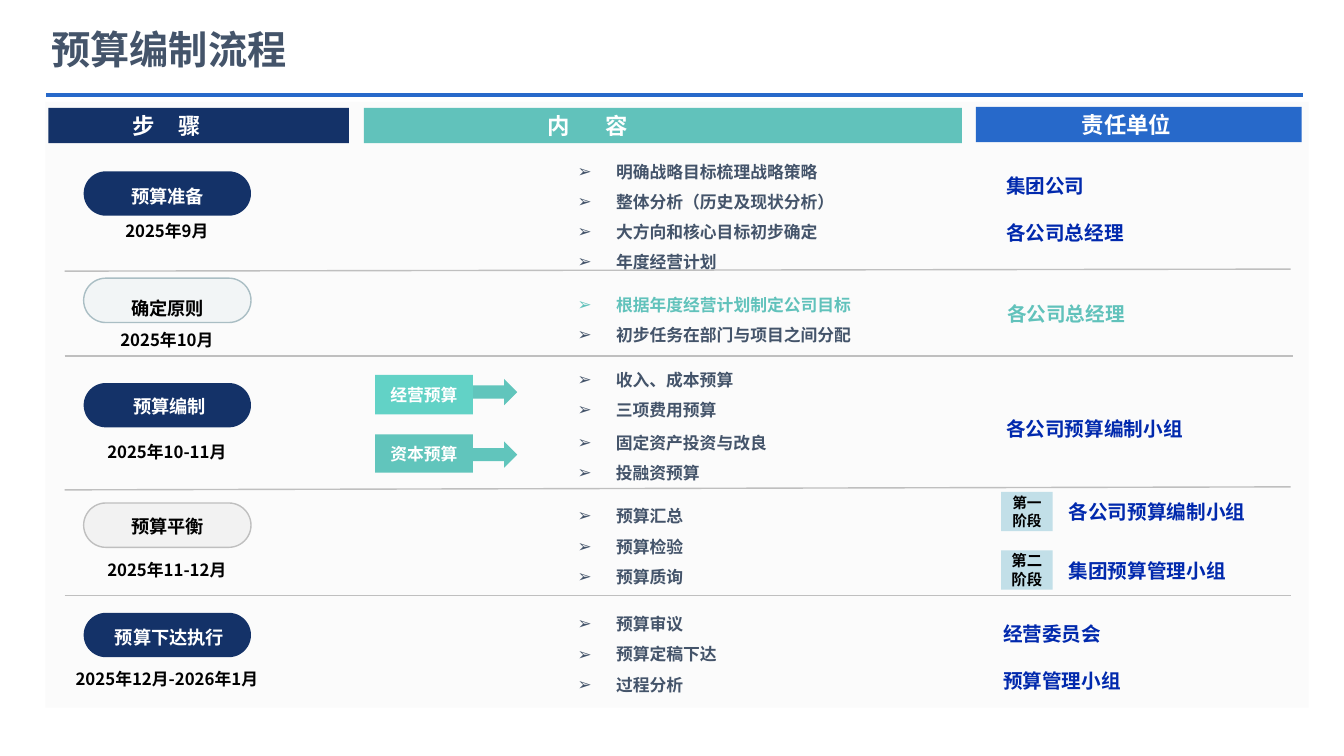
"""Build the budget preparation process slide."""
import pptx
import pptx.util
import pptx.dml.color
import pptx.enum.shapes
import pptx.enum.text
import pptx.oxml.ns
import lxml.etree

Inches, Pt = pptx.util.Inches, pptx.util.Pt
RGB = pptx.dml.color.RGBColor.from_string
SHAPE = pptx.enum.shapes.MSO_SHAPE
ALIGN = pptx.enum.text.PP_ALIGN
ANCHOR = pptx.enum.text.MSO_ANCHOR
qn = pptx.oxml.ns.qn
FONT = "Noto Sans CJK SC"
C = {"card": "FBFBFB", "slate": "44546A", "navy": "143268", "teal": "61C2BB",
     "arrow": "61C5BC", "mint": "62D2C6", "blue": "2769CA", "ink": "0129AD",
     "stage": "C2DFE8", "pale": "F2F5F6", "pale_line": "AABEC4",
     "gray": "F2F2F2", "gray_line": "BFBFBF", "white": "FFFFFF", "black": "000000"}


def write(sp, text, size=12, color="black", font=FONT, align=ALIGN.LEFT, anchor=ANCHOR.TOP,
          spacing=1.2, gap=0, margins=(0.1, 0.05, 0.1, 0.05), bullet=False, tab=0):
    tf = sp.text_frame
    tf.word_wrap = True
    tf.auto_size = pptx.enum.text.MSO_AUTO_SIZE.NONE
    tf.vertical_anchor = anchor
    tf.margin_left, tf.margin_top, tf.margin_right, tf.margin_bottom = map(Inches, margins)
    colors = [color] if isinstance(color, str) else color
    for i, line in enumerate(text.split("\n")):
        p = tf.paragraphs[0] if i == 0 else tf.add_paragraph()
        p.alignment = align
        p.line_spacing = Pt(size * spacing)
        p.space_before = Pt(gap if i else 0)
        pPr = p._p.get_or_add_pPr()
        if bullet:
            pPr.set("marL", str(Inches(0.38)))
            pPr.set("indent", str(Inches(-0.38)))
            lxml.etree.SubElement(pPr, qn("a:buFont")).set("typeface", "Arial")
            lxml.etree.SubElement(pPr, qn("a:buChar")).set("char", "➢")
        if tab:
            stops = lxml.etree.SubElement(pPr, qn("a:tabLst"))
            lxml.etree.SubElement(stops, qn("a:tab"), pos=str(Inches(tab)), algn="l")
        r = p.add_run()
        r.text = line
        r.font.size, r.font.bold, r.font.name = Pt(size), True, font
        r.font.color.rgb = RGB(C[colors[min(i, len(colors) - 1)]])
        lxml.etree.SubElement(r._r.get_or_add_rPr(), qn("a:ea")).set("typeface", FONT)


def block(kind, x, y, w, h, fill, line=None):
    sp = s.shapes.add_shape(kind, Inches(x), Inches(y), Inches(w), Inches(h))
    sp.shadow.inherit = False
    sp.fill.solid()
    sp.fill.fore_color.rgb = RGB(C[fill])
    if line:
        sp.line.color.rgb = RGB(C[line])
        sp.line.width = Pt(1)
    else:
        sp.line.fill.background()
    return sp


prs = pptx.Presentation()
prs.slide_width, prs.slide_height = Inches(13.33), Inches(7.5)
s = prs.slides.add_slide(prs.slide_layouts[4])
title, *bodies = list(s.placeholders)

card = block(SHAPE.ROUNDED_RECTANGLE, 0.45, 1.01, 12.53, 6.01, "card")
card.adjustments[0] = 0
s.shapes._spTree.insert(2, card._element)

title.left, title.top, title.width, title.height = map(Inches, (0.41, 0.2, 6.11, 0.53))
write(title, "预算编制流程", size=28, color="slate")

for x, y, w, fill, text, indent, tab in [
        (0.48, 1.07, 2.98, "navy", "步\t骤", 0.83, 0.46),
        (3.61, 1.07, 5.93, "teal", "内\t容", 1.82, 0.58),
        (9.68, 1.06, 3.23, "blue", "责任单位", 1.05, 0)]:
    sp = block(SHAPE.RECTANGLE, x, y, w, 0.35, fill)
    write(sp, text, size=16, color="white", font="Calibri", anchor=ANCHOR.MIDDLE,
          margins=(indent, 0, 0, 0), tab=tab)

for x1, y1, x2, y2, color, width in [
        (0.46, 0.94, 12.92, 0.94, "blue", 3),
        (0.64, 2.69, 12.8, 2.67, "gray_line", 1),
        (0.64, 3.53, 12.82, 3.53, "gray_line", 1),
        (0.64, 4.86, 12.8, 4.83, "gray_line", 1),
        (0.64, 5.91, 12.8, 5.91, "gray_line", 1)]:
    cn = s.shapes.add_connector(pptx.enum.shapes.MSO_CONNECTOR.STRAIGHT,
                                Inches(x1), Inches(y1), Inches(x2), Inches(y2))
    cn.line.color.rgb = RGB(C[color])
    cn.line.width = Pt(width)
    lxml.etree.SubElement(cn._element.spPr, qn("a:effectLst"))

for pill_y, fill, line, label, label_x, label_y, color, date, date_y in [
        (1.7, "navy", None, "预算准备", 1.08, 1.8, "white", "2025年9月", 2.14),
        (2.76, "pale", "pale_line", "确定原则", 1.08, 2.91, "black", "2025年10月", 3.22),
        (3.8, "navy", None, "预算编制", 1.1, 3.88, "white", "2025年10-11月", 4.33),
        (4.99, "gray", "gray_line", "预算平衡", 1.08, 5.07, "black", "2025年11-12月", 5.5),
        (6.08, "navy", None, "预算下达执行", 1.1, 6.17, "white", "2025年12月-2026年1月", 6.59)]:
    pill = block(SHAPE.ROUNDED_RECTANGLE, 0.83, pill_y, 1.66, 0.44, fill, line)
    pill.adjustments[0] = 0.5
    sp = s.shapes.add_textbox(Inches(label_x), Inches(label_y), Inches(1.16), Inches(0.29))
    write(sp, label, size=13, color=color, font="Cabin", align=ALIGN.CENTER,
          spacing=1.44, margins=(0, 0, 0, 0.04))
    sp = s.shapes.add_textbox(Inches(0.45), Inches(date_y), Inches(2.41), Inches(0.3))
    write(sp, date, align=ALIGN.CENTER)

tasks = [
    (1.45, 1.28, "slate", "明确战略目标梳理战略策略\n整体分析（历史及现状分析）\n大方向和核心目标初步确定\n年度经营计划"),
    (2.77, 0.67, ["teal", "slate"], "根据年度经营计划制定公司目标\n初步任务在部门与项目之间分配"),
    (4.87, 0.97, "slate", "预算汇总\n预算检验\n预算质询"),
    (5.94, 0.97, "slate", "预算审议\n预算定稿下达\n过程分析"),
    (3.52, 0.67, "slate", "收入、成本预算\n三项费用预算"),
    (4.14, 0.67, "slate", "固定资产投资与改良\n投融资预算")]
bodies += [s.shapes.add_textbox(0, 0, 0, 0) for _ in tasks[len(bodies):]]
for sp, (y, h, color, text) in zip(bodies, tasks):
    sp.left, sp.top, sp.width, sp.height = map(Inches, (5.63, y, 3.17, h))
    write(sp, text, color=color, spacing=1.8, bullet=True)

for arrow_y, y, h, fill, text in [(3.76, 3.72, 0.39, "mint", "经营预算"),
                                  (4.38, 4.31, 0.38, "arrow", "资本预算")]:
    block(SHAPE.RIGHT_ARROW, 4.48, arrow_y, 0.65, 0.26, "arrow")
    sp = block(SHAPE.RECTANGLE, 3.72, y, 0.97, h, fill)
    write(sp, text, color="white", align=ALIGN.CENTER, anchor=ANCHOR.MIDDLE)

for x, y, w, h, color, text in [
        (9.88, 1.68, 1.8, 0.81, "ink", "集团公司\n各公司总经理"),
        (9.89, 2.95, 2.64, 0.34, "teal", "各公司总经理"),
        (9.88, 4.09, 2.08, 0.34, "ink", "各公司预算编制小组"),
        (10.5, 4.91, 2.64, 0.34, "ink", "各公司预算编制小组"),
        (10.5, 5.5, 2.64, 0.34, "ink", "集团预算管理小组"),
        (9.85, 6.12, 2.3, 0.81, "ink", "经营委员会\n预算管理小组")]:
    sp = s.shapes.add_textbox(Inches(x), Inches(y), Inches(w), Inches(h))
    write(sp, text, size=14, color=color, gap=16.8)

for y, size, text in [(4.88, 10.5, "第一阶段"), (5.46, 11, "第二阶段")]:
    sp = block(SHAPE.RECTANGLE, 9.93, y, 0.51, 0.39, "stage")
    write(sp, text, size=size, align=ALIGN.CENTER, anchor=ANCHOR.MIDDLE,
          margins=(0.05, 0, 0.05, 0))

prs.save("out.pptx")
